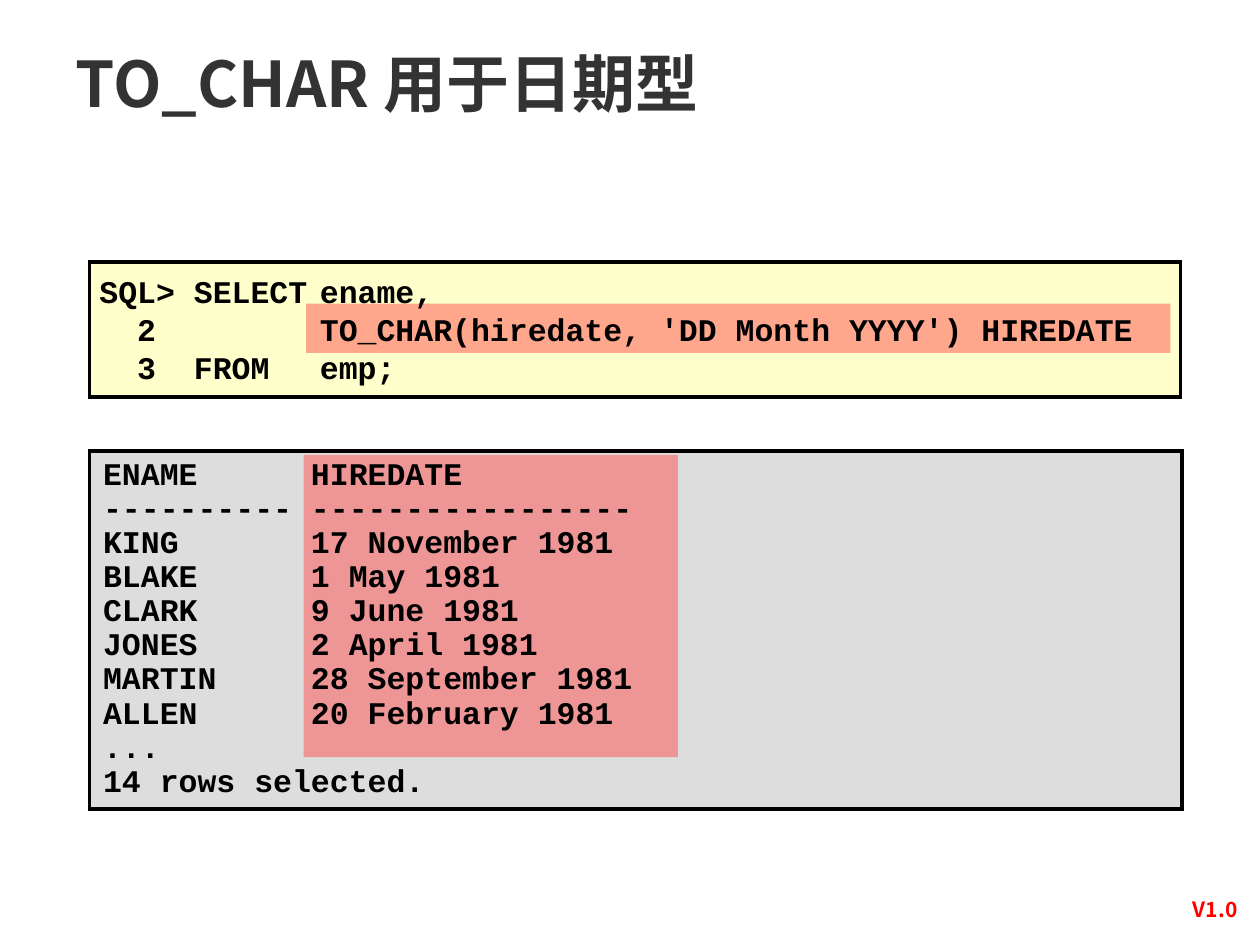
from dataclasses import dataclass

from lxml.etree import SubElement
from pptx import Presentation
from pptx.dml.color import RGBColor
from pptx.enum.shapes import MSO_SHAPE
from pptx.enum.text import MSO_ANCHOR, MSO_AUTO_SIZE, PP_ALIGN
from pptx.oxml.ns import qn
from pptx.util import Inches, Pt


@dataclass(frozen=True)
class Theme:
    code_font: str = "Courier New"
    text_font: str = "Noto Sans CJK SC"
    title_size: int = 36
    code_size: int = 18
    version_size: int = 12
    title: str = "333333"
    ink: str = "000000"
    version: str = "FF0000"
    query_fill: str = "FFFFCC"
    result_fill: str = "DDDDDD"
    highlight: str = "FF5050"


QUERY = [
    "SQL> SELECT\tename,",
    "\t2\t\tTO_CHAR(hiredate, 'DD Month YYYY') HIREDATE",
    "\t3\tFROM\temp;",
]
RESULT = [
    "ENAME\tHIREDATE",
    "----------\t-----------------",
    "KING\t17 November 1981",
    "BLAKE\t1 May 1981",
    "CLARK\t9 June 1981",
    "JONES\t2 April 1981",
    "MARTIN\t28 September 1981",
    "ALLEN\t20 February 1981",
    "...",
    "14 rows selected.",
]


class SlideBuilder:
    def __init__(self, slide, theme):
        self.slide = slide
        self.theme = theme

    def style(self, paragraph, font_name, size, color):
        font = paragraph.font
        font.name, font.size, font.bold = font_name, Pt(size), True
        font.color.rgb = RGBColor.from_string(color)
        east_asian = SubElement(paragraph._p.pPr.find(qn("a:defRPr")), qn("a:ea"))
        east_asian.set("typeface", font_name)

    def title(self, text, box):
        shape = self.slide.shapes.title
        shape.left, shape.top, shape.width, shape.height = map(Inches, box)
        frame = shape.text_frame
        frame.text = text
        frame.auto_size = MSO_AUTO_SIZE.NONE
        frame.vertical_anchor = MSO_ANCHOR.MIDDLE
        paragraph = frame.paragraphs[0]
        paragraph.alignment = PP_ALIGN.LEFT
        self.style(paragraph, self.theme.text_font, self.theme.title_size, self.theme.title)

    def rectangle(self, box, color):
        shape = self.slide.shapes.add_shape(MSO_SHAPE.RECTANGLE, *map(Inches, box))
        shape.shadow.inherit = False
        shape.fill.solid()
        shape.fill.fore_color.rgb = RGBColor.from_string(color)
        return shape

    def panel(self, box, color):
        """Add a filled rectangle with a sharp-cornered outline."""
        shape = self.rectangle(box, color)
        shape.line.color.rgb = RGBColor.from_string(self.theme.ink)
        shape.line.width = Pt(2)
        SubElement(shape._element.spPr.find(qn("a:ln")), qn("a:miter")).set("lim", "800000")

    def highlight(self, box):
        """Add a borderless, half-transparent marker."""
        shape = self.rectangle(box, self.theme.highlight)
        shape.line.fill.background()
        color = shape._element.spPr.find(qn("a:solidFill"))[0]
        SubElement(color, qn("a:alpha")).set("val", "50000")

    def text_box(self, box):
        frame = self.slide.shapes.add_textbox(*map(Inches, box)).text_frame
        frame.word_wrap = True
        return frame

    def code(self, lines, box, tab_stops, anchor=MSO_ANCHOR.TOP, line_spacing=1.0):
        frame = self.text_box(box)
        frame.vertical_anchor = anchor
        frame.text = "\n".join(lines)
        for paragraph in frame.paragraphs:
            paragraph.alignment = PP_ALIGN.LEFT
            paragraph.line_spacing = line_spacing
            tabs = SubElement(paragraph._p.pPr, qn("a:tabLst"))
            for stop in tab_stops:
                tab = SubElement(tabs, qn("a:tab"))
                tab.set("pos", str(Inches(stop)))
                tab.set("algn", "l")
            self.style(paragraph, self.theme.code_font, self.theme.code_size, self.theme.ink)

    def version(self, text, box):
        frame = self.text_box(box)
        frame.text = text
        paragraph = frame.paragraphs[0]
        paragraph.alignment = PP_ALIGN.CENTER
        self.style(paragraph, self.theme.text_font, self.theme.version_size, self.theme.version)


def main():
    presentation = Presentation()
    presentation.slide_width, presentation.slide_height = Inches(10), Inches(7.5)
    theme = Theme()
    builder = SlideBuilder(presentation.slides.add_slide(presentation.slide_layouts[5]), theme)

    builder.version("V1.0", (9.25, 7.07, 0.79, 0.3))
    builder.panel((0.71, 2.08, 8.66, 1.07), theme.query_fill)
    builder.panel((0.71, 3.58, 8.67, 2.84), theme.result_fill)
    builder.title("TO_CHAR 用于日期型", (0.5, 0.27, 7.97, 0.77))
    builder.highlight((2.43, 2.41, 6.86, 0.39))
    builder.highlight((2.41, 3.61, 2.97, 2.4))
    builder.code(QUERY, (0.69, 1.87, 8.65, 1.48), (0.3, 0.75, 1.75), MSO_ANCHOR.MIDDLE)
    builder.code(RESULT, (0.72, 3.59, 7.94, 2.81), (1.65,), line_spacing=0.9)

    presentation.save("out.pptx")


if __name__ == "__main__":
    main()
